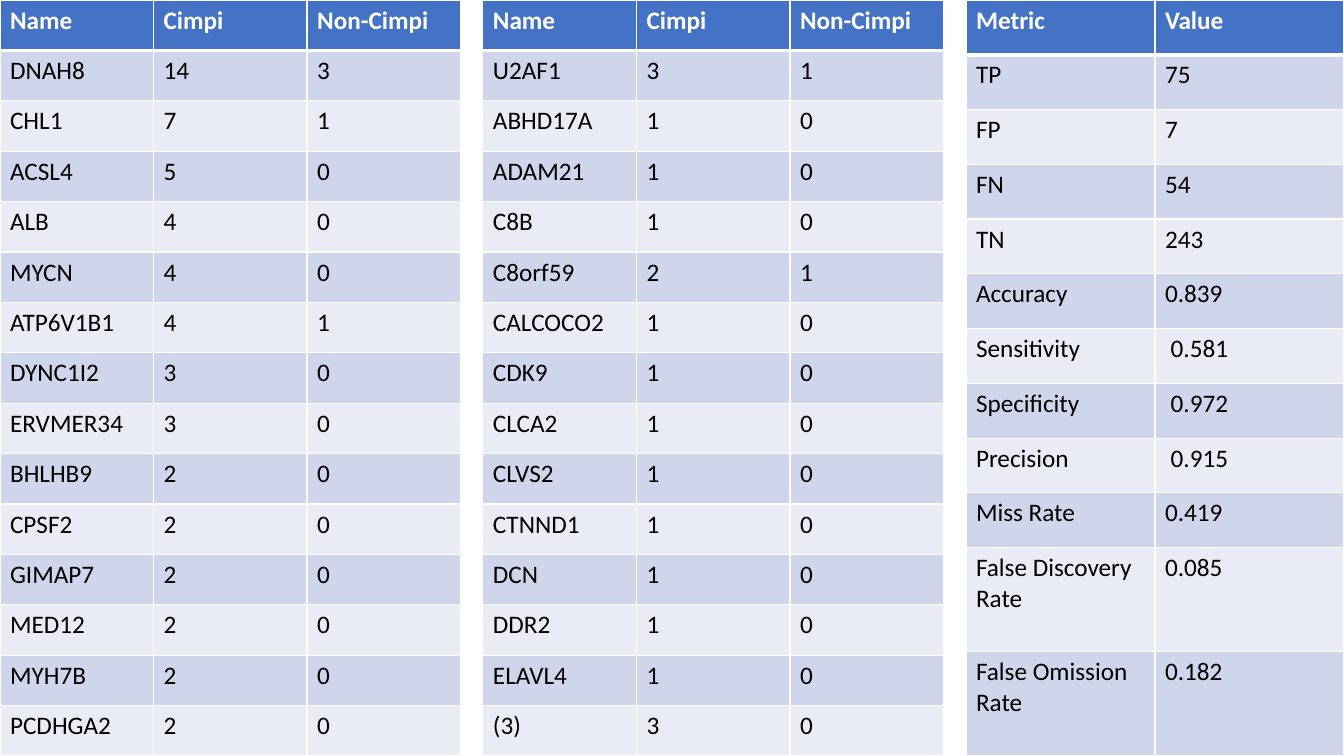
import dataclasses

import lxml.etree
import pptx
import pptx.dml.color
import pptx.oxml.ns
import pptx.table
import pptx.util

COLORS = {
    "header": "4472C4",
    "odd": "CFD5EA",
    "even": "E9EBF5",
    "border": "FFFFFF",
    "header_text": "FFFFFF",
    "body_text": "000000",
}
PAGE_WIDTH = pptx.util.Inches(13.33)
PAGE_HEIGHT = pptx.util.Inches(7.5)
TALL_ROW = 1.9  # height of a two-line row, in single rows


@dataclasses.dataclass(frozen=True)
class Grid:
    """A full-height table; left and width are percentages of the page width."""
    left: float
    width: float
    header: tuple[str, ...]
    rows: tuple[tuple[str, ...], ...]


GENE_HEADER = ("Name", "Cimpi", "Non-Cimpi")
GRIDS = (
    Grid(0, 34.28, GENE_HEADER, (
        ("DNAH8", "14", "3"),
        ("CHL1", "7", "1"),
        ("ACSL4", "5", "0"),
        ("ALB", "4", "0"),
        ("MYCN", "4", "0"),
        ("ATP6V1B1", "4", "1"),
        ("DYNC1I2", "3", "0"),
        ("ERVMER34", "3", "0"),
        ("BHLHB9", "2", "0"),
        ("CPSF2", "2", "0"),
        ("GIMAP7", "2", "0"),
        ("MED12", "2", "0"),
        ("MYH7B", "2", "0"),
        ("PCDHGA2", "2", "0"),
    )),
    Grid(35.93, 34.28, GENE_HEADER, (
        ("U2AF1", "3", "1"),
        ("ABHD17A", "1", "0"),
        ("ADAM21", "1", "0"),
        ("C8B", "1", "0"),
        ("C8orf59", "2", "1"),
        ("CALCOCO2", "1", "0"),
        ("CDK9", "1", "0"),
        ("CLCA2", "1", "0"),
        ("CLVS2", "1", "0"),
        ("CTNND1", "1", "0"),
        ("DCN", "1", "0"),
        ("DDR2", "1", "0"),
        ("ELAVL4", "1", "0"),
        ("(3)", "3", "0"),
    )),
    Grid(71.87, 28.13, ("Metric", "Value"), (
        ("TP", "75"),
        ("FP", "7"),
        ("FN", "54"),
        ("TN", "243"),
        ("Accuracy", "0.839"),
        ("Sensitivity", " 0.581"),
        ("Specificity", " 0.972"),
        ("Precision", " 0.915"),
        ("Miss Rate", "0.419"),
        ("False Discovery \nRate", "0.085"),
        ("False Omission \nRate", "0.182"),
    )),
)


def write_text(cell: pptx.table._Cell, text: str, *, color: str,
               bold: bool = False, size: float = 18, font: str = "Calibri") -> None:
    cell.text_frame.text = text
    for para in cell.text_frame.paragraphs:
        for span in para.runs:
            span.font.name = font
            span.font.size = pptx.util.Pt(size)
            span.font.bold = bold
            span.font.color.rgb = pptx.dml.color.RGBColor.from_string(color)


def set_borders(cell: pptx.table._Cell, *, top: float = 1, bottom: float = 1) -> None:
    """Draw the four cell edges; widths are in points."""
    qualified = pptx.oxml.ns.qn
    properties = cell._tc.get_or_add_tcPr()
    edges = {"a:lnL": 1, "a:lnR": 1, "a:lnT": top, "a:lnB": bottom}
    for position, (tag, width) in enumerate(edges.items()):
        line = lxml.etree.Element(qualified(tag), w=str(pptx.util.Pt(width)))
        fill = lxml.etree.SubElement(line, qualified("a:solidFill"))
        lxml.etree.SubElement(fill, qualified("a:srgbClr"), val=COLORS["border"])
        properties.insert(position, line)


def fill_cell(cell: pptx.table._Cell, text: str, row: int) -> None:
    is_header = row == 0
    band = "header" if is_header else "odd" if row % 2 else "even"
    cell.fill.solid()
    cell.fill.fore_color.rgb = pptx.dml.color.RGBColor.from_string(COLORS[band])
    set_borders(cell, top=3 if row == 1 else 1, bottom=3 if is_header else 1)
    write_text(cell, text, bold=is_header,
               color=COLORS["header_text" if is_header else "body_text"])


def draw_grid(page: pptx.slide.Slide, grid: Grid) -> None:
    rows = (grid.header, *grid.rows)
    width = int(PAGE_WIDTH * grid.width / 100)
    table = page.shapes.add_table(
        len(rows), len(grid.header),
        int(PAGE_WIDTH * grid.left / 100), 0, width, PAGE_HEIGHT).table
    for column in table.columns:
        column.width = width // len(grid.header)
    weights = [TALL_ROW if "\n" in texts[0] else 1 for texts in rows]
    for row, (texts, weight) in enumerate(zip(rows, weights)):
        table.rows[row].height = int(PAGE_HEIGHT * weight / sum(weights))
        for column, text in enumerate(texts):
            fill_cell(table.cell(row, column), text, row)


def main() -> None:
    deck = pptx.Presentation()
    deck.slide_width = PAGE_WIDTH
    deck.slide_height = PAGE_HEIGHT
    page = deck.slides.add_slide(deck.slide_layouts.get_by_name("Blank"))
    for grid in GRIDS:
        draw_grid(page, grid)
    deck.save("out.pptx")


if __name__ == "__main__":
    main()
